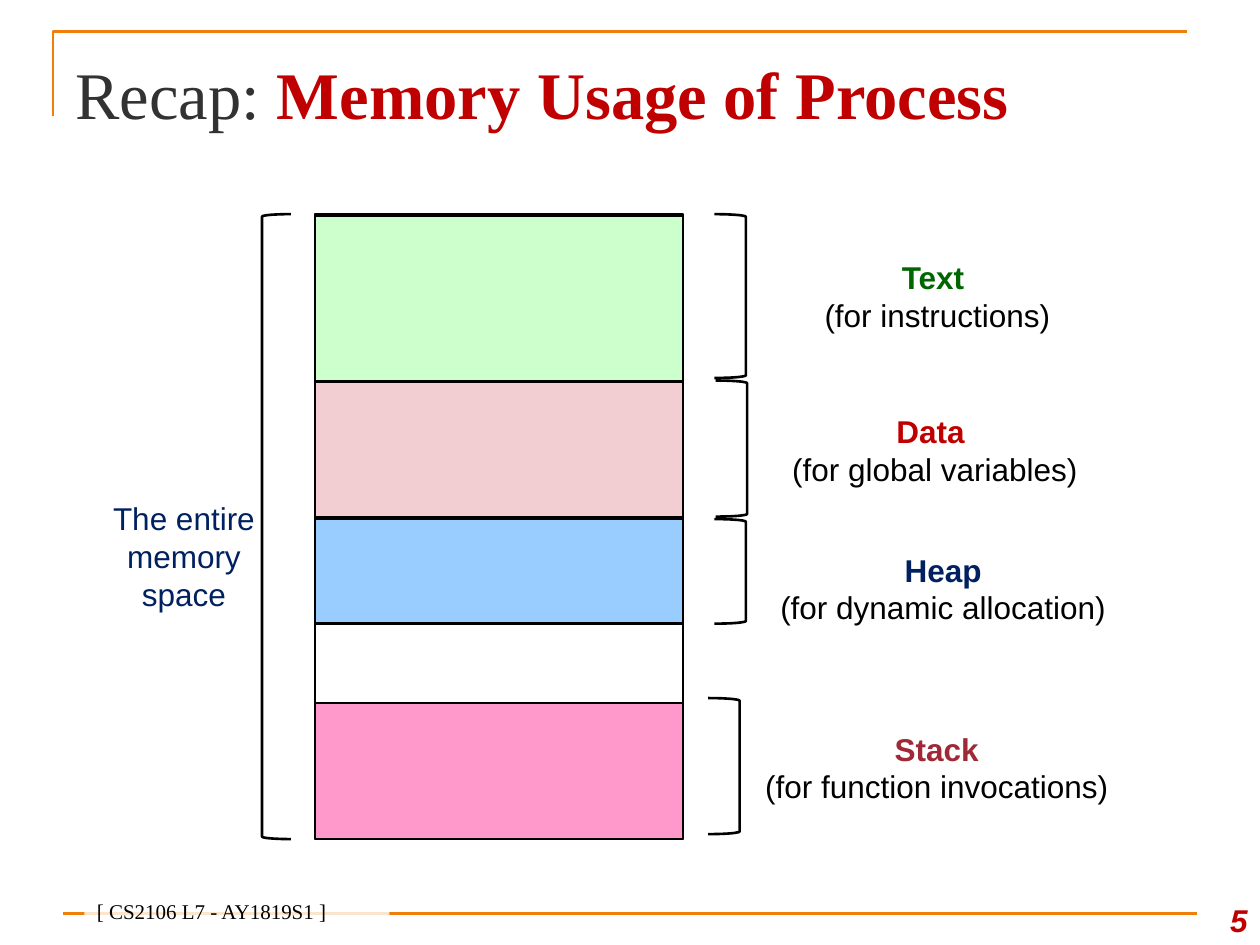
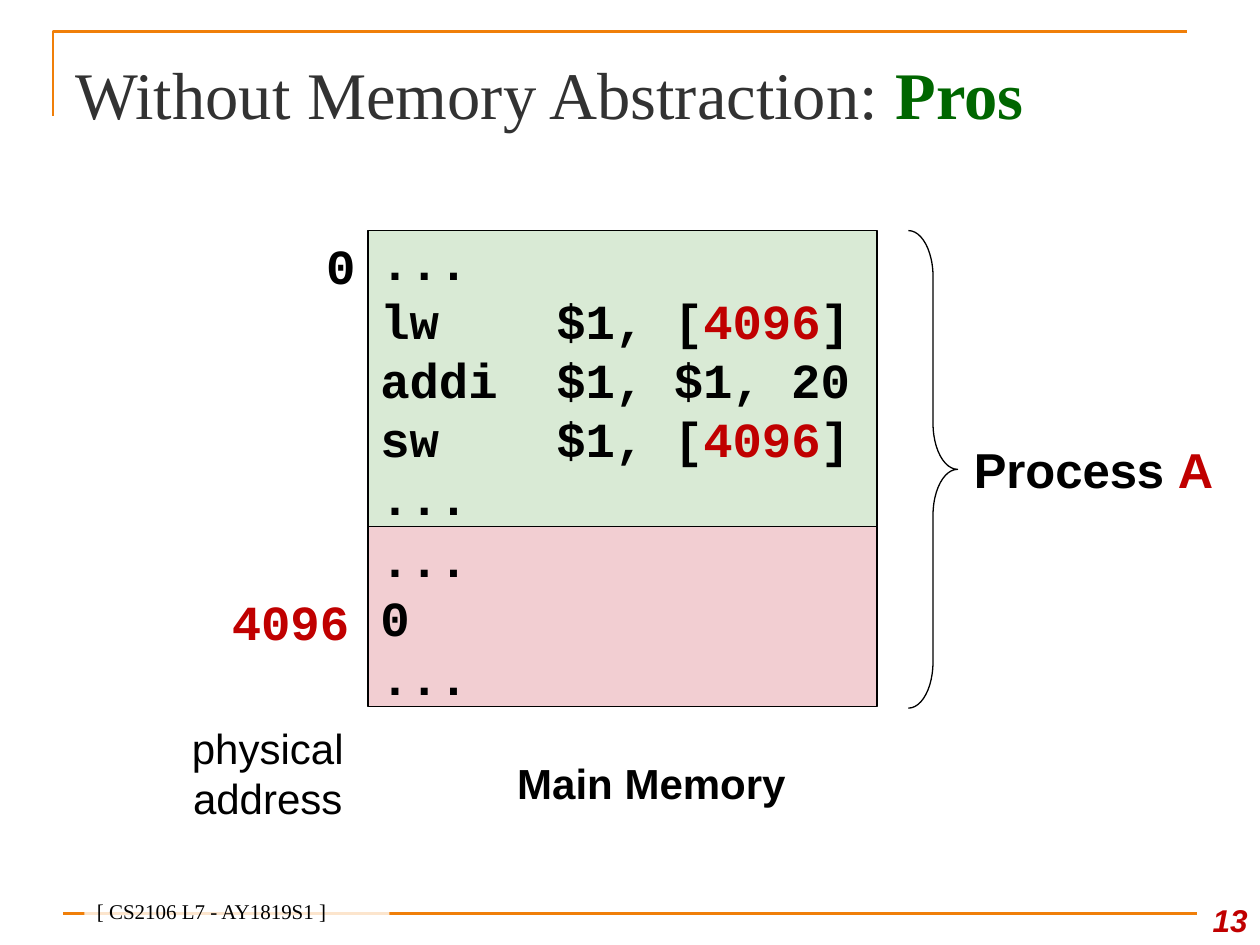
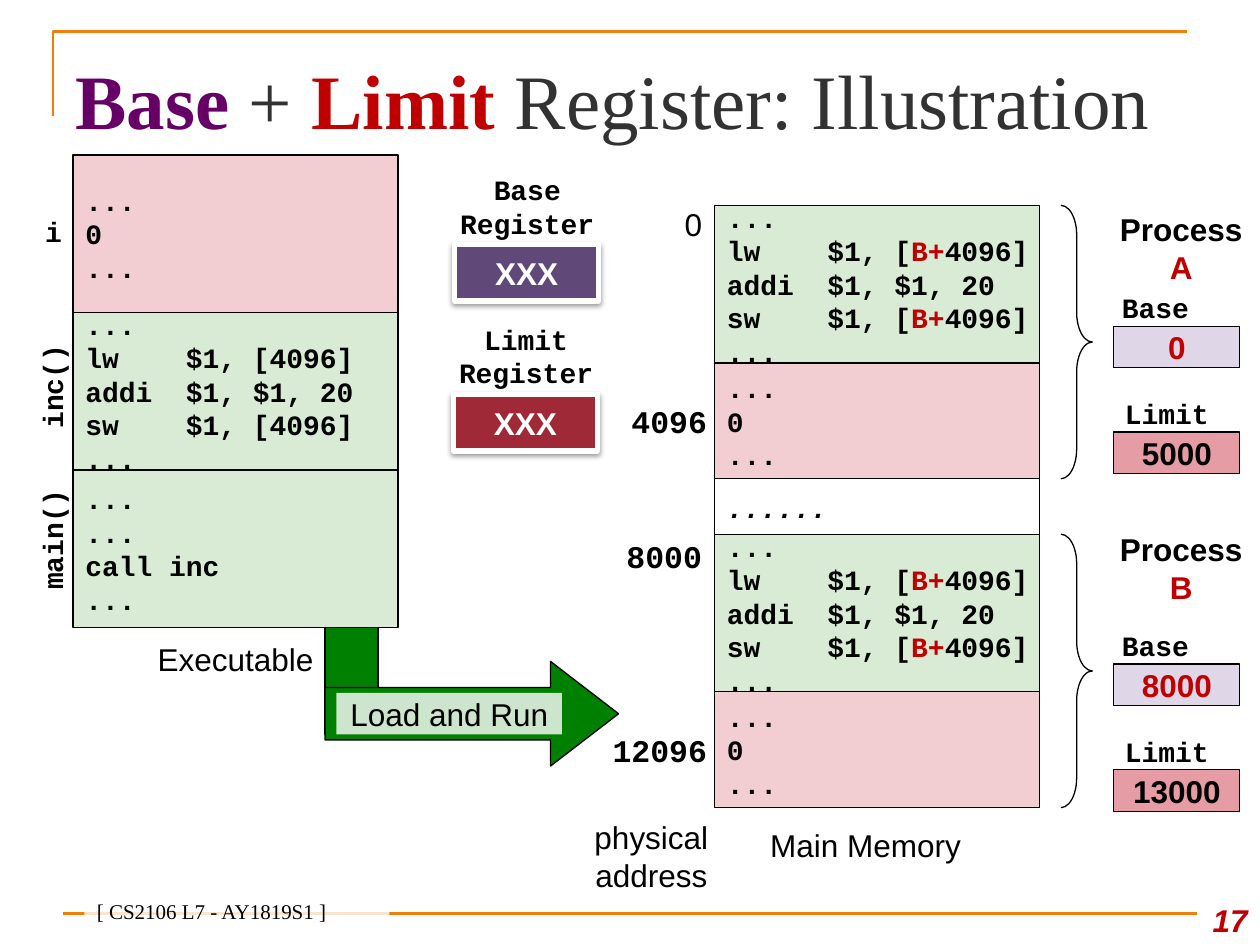
from lxml import etree
from pptx import Presentation
from pptx import util as u
from pptx.dml.color import RGBColor
from pptx.enum import shapes, text
from pptx.oxml import ns

COLORS = {
    "black": "000000", "white": "FFFFFF", "accent": "F07F09", "title": "323232",
    "red": "C00000", "green": "006600", "navy": "002060", "maroon": "9F2936",
    "purple": "660066", "violet": "604878", "arrow": "008000",
    "code": "D9EAD5", "data": "F2CED2", "text area": "CCFFCC",
    "heap area": "99CCFF", "stack area": "FF99CC",
    "base value": "DFD7E7", "limit value": "E69CA4",
}
SANS, MONO, SERIF = "Arial", "Courier New", "Times New Roman"
SHAPE = shapes.MSO_SHAPE
ANCHORS = {"t": text.MSO_ANCHOR.TOP, "m": text.MSO_ANCHOR.MIDDLE, "b": text.MSO_ANCHOR.BOTTOM}
ALIGNS = {"l": text.PP_ALIGN.LEFT, "c": text.PP_ALIGN.CENTER, "r": text.PP_ALIGN.RIGHT}


def rgb(name):
    """Return the named colour."""
    return RGBColor.from_string(COLORS[name])


def inches(box):
    """Convert a tuple of numbers to lengths."""
    return [u.Inches(length) for length in box]


def child(parent, tag, **attributes):
    """Append a DrawingML element to its parent."""
    return etree.SubElement(parent, ns.qn(tag), {key: str(value) for key, value in attributes.items()})


def write(holder, paragraphs, size=18, font=SANS, color="black", bold=False, italic=False,
          align="l", anchor="m", wrap=True, grow=False, top=0.05):
    """Fill a shape with paragraphs, each a string or a list of strings and (text, colour, bold) runs."""
    frame = holder.text_frame
    frame.word_wrap = wrap
    frame.auto_size = text.MSO_AUTO_SIZE.SHAPE_TO_FIT_TEXT if grow else text.MSO_AUTO_SIZE.NONE
    frame.vertical_anchor = ANCHORS[anchor]
    frame.margin_top = u.Inches(top)
    for index, content in enumerate(paragraphs):
        paragraph = frame.paragraphs[0] if index == 0 else frame.add_paragraph()
        paragraph.alignment = ALIGNS[align]
        for piece in [content] if isinstance(content, str) else content:
            words, run_color, run_bold = (piece, color, bold) if isinstance(piece, str) else piece
            run = paragraph.add_run()
            run.text = words
            run.font.name, run.font.size = font, u.Pt(size)
            run.font.bold, run.font.italic = run_bold, italic
            run.font.color.rgb = rgb(run_color)
    return holder


def label(slide, box, *paragraphs, **style):
    """Add a text box."""
    return write(slide.shapes.add_textbox(*inches(box)), paragraphs, **style)


def block(slide, box, fill=None, line="black", width=0.75, kind=SHAPE.RECTANGLE, adjust=(), opacity=None):
    """Add a preset shape with a plain fill and outline."""
    part = slide.shapes.add_shape(kind, *inches(box))
    part.shadow.inherit = False
    for index, value in enumerate(adjust):
        part.adjustments[index] = value
    if fill:
        part.fill.solid()
        part.fill.fore_color.rgb = rgb(fill)
    else:
        part.fill.background()
    if opacity:
        color = part.element.spPr.find(ns.qn("a:solidFill"))[0]
        child(color, "a:alpha", val=opacity * 1000)
    if line:
        part.line.color.rgb = rgb(line)
        part.line.width = u.Pt(width)
    else:
        part.line.fill.background()
    return part


def brace(slide, box):
    """Add a right brace with deep curves."""
    block(slide, box, kind=SHAPE.RIGHT_BRACE, adjust=(0.94, 0.5))


def code_block(slide, box, lines, fill, size=16, italic=False):
    """Add a memory area that lists code or data."""
    write(block(slide, box, fill), lines, size=size, font=MONO, bold=True, italic=italic, wrap=False)


def framed_slide(deck, number, title, title_size=38):
    """Add a slide with corner rule, title, footer and page number."""
    slide = deck.slides.add_slide(deck.slide_layouts[6])
    outline = slide.shapes.build_freeform(u.Inches(0.42), u.Inches(0.92))
    outline.add_line_segments([inches((0.42, 0.25)), inches((9.42, 0.25))], close=False)
    corner = outline.convert_to_shape()
    corner.shadow.inherit = False
    corner.fill.background()
    rule = slide.shapes.add_connector(shapes.MSO_CONNECTOR.STRAIGHT, *inches((0.5, 7.25, 9.5, 7.25)))
    for stroke in (corner, rule):
        stroke.line.color.rgb = rgb("accent")
        stroke.line.width = u.Pt(1.5)
    child(rule.element.spPr, "a:effectLst")
    label(slide, (0.5, 0.3, 9, 0.78), title, size=title_size, font=SERIF, color="title",
          anchor="t", top=0.12)
    label(slide, (9.42, 7, 0.58, 0.5), str(number), color="red", bold=True, italic=True,
          align="r", anchor="b")
    course = block(slide, (0.67, 7.13, 2.42, 0.25), "white", None, opacity=80)
    write(course, ["[ CS2106 L7 - AY1819S1 ]"], size=12, font=SERIF, anchor="b")
    return slide


def memory_segment(slide, box, fill, name, color, purpose, label_box, bracket_box):
    """Add one coloured segment with its bracket and caption."""
    caption = block(slide, label_box, "white", "white", 2)
    write(caption, [[(name, color, True)], purpose], align="c")
    block(slide, box, fill, width=1.5)
    block(slide, bracket_box, width=1.5, kind=SHAPE.RIGHT_BRACKET)


def usage_slide(deck):
    """Build the recap of the memory segments of a process."""
    slide = framed_slide(deck, 5, ["Recap: ", ("Memory Usage of Process", "red", True)])
    left, top, width, height = 2.5, 1.7, 2.92, 4.96
    block(slide, (left - 0.42, top, 0.23, height), width=1.5, kind=SHAPE.LEFT_BRACKET)
    label(slide, (0.75, 3.94, 1.42, 0.94), "The entire", "memory space", color="navy", align="c")
    block(slide, (left, top, width, height), width=1.5)
    segments = [
        (1.71, 1.33, "text area", "Text ", "green", "(for instructions)",
         (5.94, 1.88, 3, 0.94), (5.67, 1.7, 0.25, 1.3)),
        (3.03, 1.08, "data", "Data ", "red", "(for global variables)",
         (5.92, 3.1, 3, 0.94), (5.68, 3.02, 0.25, 1.08)),
        (4.12, 0.83, "heap area", "Heap", "navy", "(for dynamic allocation)",
         (5.92, 4.2, 3.13, 0.94), (5.67, 4.12, 0.25, 0.83)),
        (5.58, 1.08, "stack area", "Stack", "maroon", "(for function invocations)",
         (5.87, 5.62, 3.13, 0.94), (5.62, 5.54, 0.25, 1.08)),
    ]
    for segment_top, segment_height, *details in segments:
        memory_segment(slide, (left, segment_top, width, segment_height), *details)


def increment_code(*operand):
    """Return the code lines that increment the value at an address."""
    return ["...", ["lw    $1, [", *operand], "addi  $1, $1, 20", ["sw    $1, [", *operand], "..."]


VARIABLE = ["...", "0", "..."]


def pros_slide(deck):
    """Build the view of one process in physical memory."""
    slide = framed_slide(deck, 13, ["Without Memory Abstraction: ", ("Pros", "green", True)])
    left, top, width = 2.92, 1.83, 4.04
    code = increment_code(("4096", "red", True), "]")
    code_block(slide, (left, top, width, 2.35), code, "code", 28)
    code_block(slide, (left, top + 2.35, width, 1.43), VARIABLE, "data", 28)
    address = dict(size=28, font=MONO, bold=True, align="r", wrap=False)
    label(slide, (2.03, top, 0.89, 0.55), "0", **address)
    label(slide, (1.98, 4.53, 0.89, 0.8), "4096", color="red", **address)
    label(slide, (1.33, 5.62, 1.59, 1.03), "physical address", size=24, align="c")
    label(slide, (3.93, 5.87, 2.48, 0.69), "Main Memory", size=24, bold=True, align="c", wrap=False)
    brace(slide, (7.21, top, 0.39, 3.79))
    label(slide, (7.63, 3.44, 2.28, 0.57), ["Process ", ("A", "red", True)], size=28, bold=True,
          anchor="t", grow=True)


def heading(slide, box, words, align="c"):
    """Add a bold code-style heading and return it."""
    return label(slide, box, words, size=16, font=MONO, bold=True, align=align, anchor="t", grow=True)


def cpu_register(slide, left, top, name, fill):
    """Add a hardware register below its name."""
    register = block(slide, (left + 0.25, top + 0.62, 1.14, 0.45), fill, "white", 3)
    effects = register.element.spPr.find(ns.qn("a:effectLst"))
    shadow = child(effects, "a:outerShdw", blurRad=u.Pt(3.1), dist=u.Pt(1.6), dir=5400000, rotWithShape=0)
    child(child(shadow, "a:srgbClr", val=COLORS["black"]), "a:alpha", val=38000)
    write(register, ["XXX"], color="white", bold=True, align="c", wrap=False)
    heading(slide, (left, top, 1.65, 0.64), f"{name} Register")


def saved_register(slide, left, top, name, value, fill, color, name_shift):
    """Add the saved value of a register below its name."""
    write(block(slide, (left, top, 1, 0.33), fill), [value], color=color, bold=True, align="c", wrap=False)
    heading(slide, (left + name_shift, top - 0.33, 1, 0.37), name)


def loaded_process(slide, left, top, name, name_top, registers_top, base, limit):
    """Add a process in main memory with its brace and saved registers."""
    code_block(slide, (left, top, 2.58, 1.25), increment_code(("B+", "red", True), "4096]"), "code")
    code_block(slide, (left, top + 1.25, 2.58, 0.92), VARIABLE, "data")
    label(slide, (left - 0.71, top + 1.42, 0.75, 0.58), str(base + 4096), font=MONO, bold=True,
          align="r", wrap=False)
    brace(slide, (left + 2.75, top, 0.25, 2.17))
    label(slide, (left + 3.08, name_top, 1.25, 0.71), ["Process ", (name, "red", True)], bold=True,
          align="c", anchor="t", grow=True)
    saved_register(slide, left + 3.17, registers_top, "Base", str(base), "base value", "red", -0.17)
    saved_register(slide, left + 3.17, registers_top + 0.84, "Limit", str(limit), "limit value", "black", -0.08)


def executable(slide, left, top):
    """Add the sections of the executable with their names."""
    sections = [
        (VARIABLE, "data"),
        (increment_code("4096]"), "code"),
        (["...", "...", "call inc", "..."], "code"),
    ]
    for row, (lines, fill) in enumerate(sections):
        code_block(slide, (left, top + row * 1.25, 2.58, 1.25), lines, fill)
    heading(slide, (left - 0.5, top + 0.42, 0.51, 0.37), "i", "r")
    for name, name_top in (("inc()", 1.5), ("main()", 2.78)):
        heading(slide, (left - 0.75, top + name_top, 1.17, 0.37), name, "l").rotation = 270
    label(slide, (left + 0.25, top + 3.75, 2.08, 0.5), "Executable", align="c", wrap=False)


def load_arrow(slide, left, top):
    """Add the bent arrow from the executable to main memory."""
    block(slide, (left, top, 0.42, 1), "arrow")
    block(slide, (left, top + 0.42, 2.33, 0.83), "arrow", kind=SHAPE.RIGHT_ARROW, adjust=(0.5, 0.65))
    caption = block(slide, (left + 0.09, top + 0.67, 1.79, 0.33), "white", None, opacity=80)
    write(caption, ["Load and Run"], align="c", wrap=False)


def registers_slide(deck):
    """Build the illustration of base and limit registers."""
    title = [("Base", "purple", True), " + ", ("Limit", "red", True), " Register: Illustration"]
    slide = framed_slide(deck, 17, title, 44)
    left = 5.67
    label(slide, (5.83, 6.46, 2.08, 0.5), "Main Memory", align="c", wrap=False)
    label(slide, (4.49, 6.42, 1.36, 0.75), "physical address", align="c")
    code_block(slide, (left, 1.65, 2.58, 4.75), ["......"], "white", italic=True)
    label(slide, (4.92, 1.63, 0.75, 0.3), "0", align="r", wrap=False)
    label(slide, (4.88, 4.26, 0.79, 0.31), "8000", font=MONO, bold=True, align="r", wrap=False)
    loaded_process(slide, left, 1.63, "A", 1.62, 2.59, 0, 5000)
    loaded_process(slide, left, 4.24, "B", 4.16, 5.27, 8000, 13000)
    load_arrow(slide, 2.58, 4.83)
    executable(slide, 0.58, 1.23)
    cpu_register(slide, 3.36, 1.32, "Base", "violet")
    cpu_register(slide, 3.35, 2.51, "Limit", "maroon")


def main():
    """Build and save the deck."""
    deck = Presentation()
    deck.slide_width, deck.slide_height = inches((10, 7.5))
    usage_slide(deck)
    pros_slide(deck)
    registers_slide(deck)
    deck.save("out.pptx")


if __name__ == "__main__":
    main()
